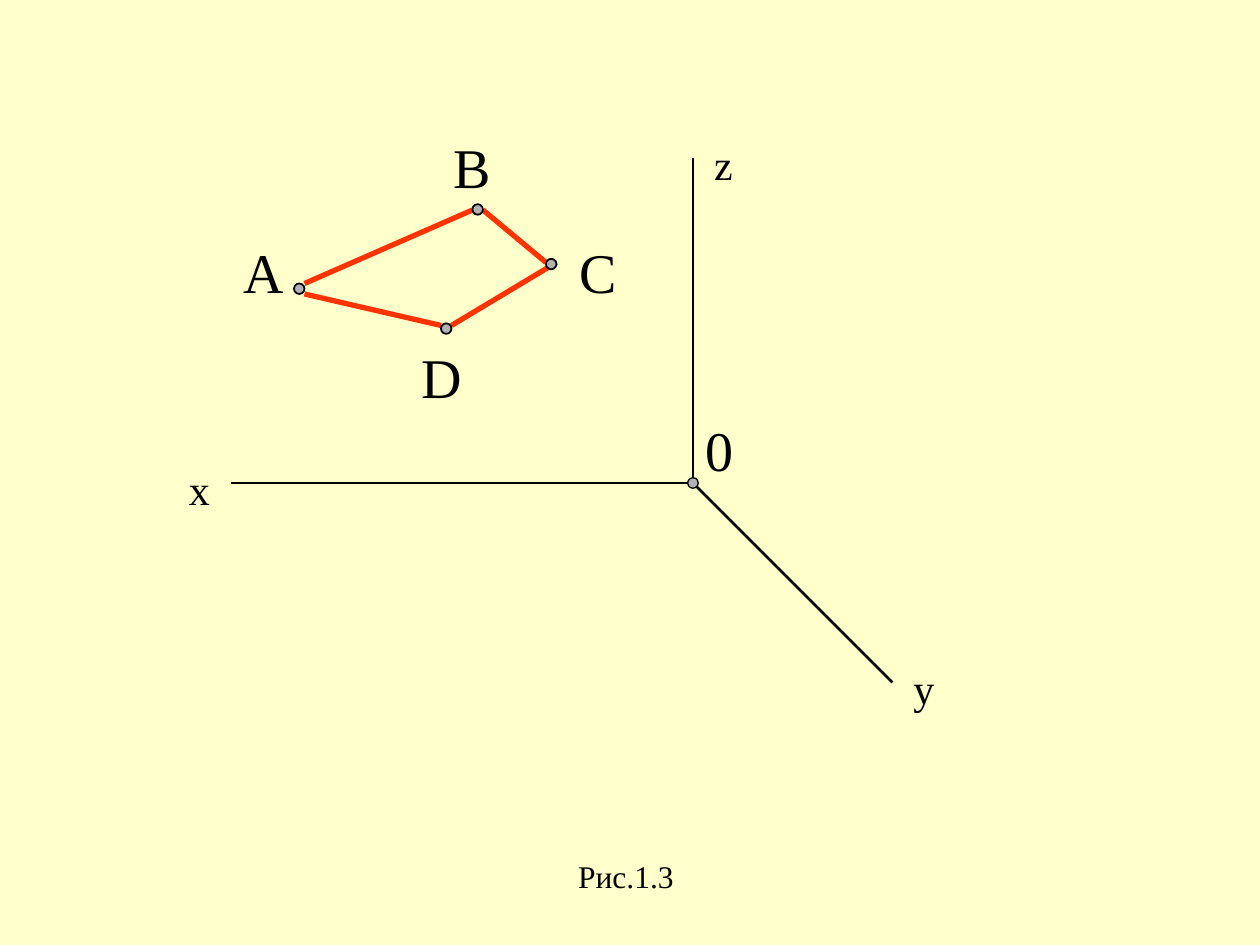
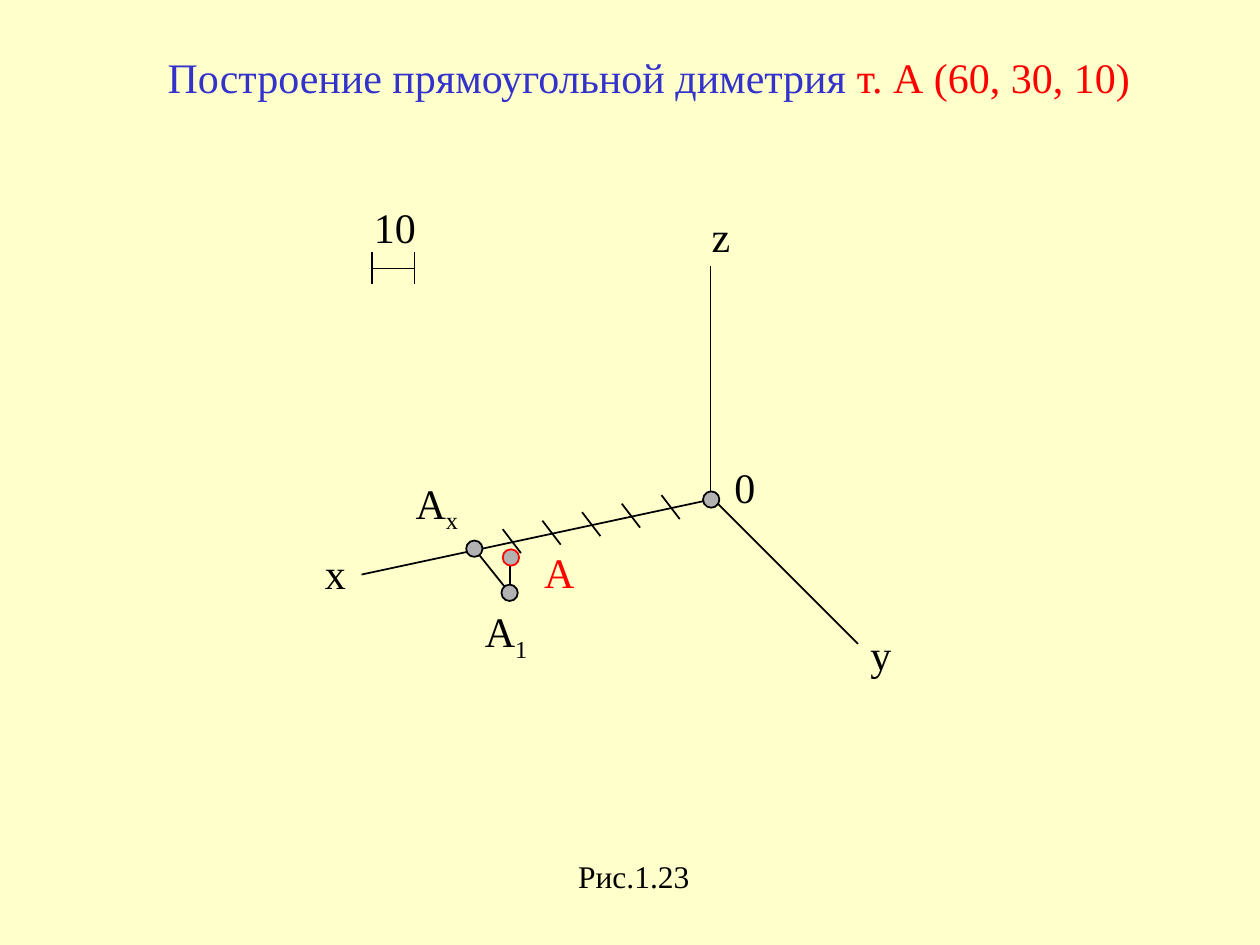
"""Build two slides that draw points on coordinate axes, laid out on a grid of 120 columns by 90 rows."""
from dataclasses import dataclass

from lxml.etree import SubElement
from pptx import Presentation
from pptx.dml.color import RGBColor
from pptx.enum.shapes import MSO_CONNECTOR as Link, MSO_SHAPE as Preset
from pptx.enum.text import MSO_ANCHOR as Anchor, MSO_AUTO_SIZE as AutoSize, PP_ALIGN as Align
from pptx.oxml.ns import qn
from pptx.util import Inches, Pt

CREAM = RGBColor(0xFF, 0xFF, 0xCC)
BLACK = RGBColor(0x00, 0x00, 0x00)
GREY = RGBColor(0xB2, 0xB2, 0xB2)
ORANGE = RGBColor(0xFF, 0x33, 0x00)
RED = RGBColor(0xFF, 0x00, 0x00)
BLUE = RGBColor(0x33, 0x33, 0xCC)
FONT = "Times New Roman"
SLIDE_WIDTH, SLIDE_HEIGHT = Inches(10), Inches(7.5)
COLUMNS = 120
CELL = SLIDE_WIDTH / COLUMNS


@dataclass
class Label:
    text: str
    column: float
    row: float
    width: float
    size: int = 24
    color: RGBColor = BLACK
    subscript: str = ""


@dataclass
class Segment:
    start: tuple[float, float]
    end: tuple[float, float]
    color: RGBColor = BLACK
    weight: float = 1


@dataclass
class Dot:
    column: float
    row: float
    diameter: float
    color: RGBColor = BLACK
    weight: float = 1


def cells(count: float) -> int:
    return round(count * CELL)


def style_span(span, size: int, color: RGBColor) -> None:
    span.font.name = FONT
    span.font.size = Pt(size)
    span.font.color.rgb = color


def draw_label(shapes, label: Label) -> None:
    height = label.size / 5 + (1.92 if label.subscript else 1.2)
    box = shapes.add_textbox(*map(cells, (label.column, label.row, label.width, height)))
    frame = box.text_frame
    frame.text = label.text
    frame.word_wrap = False
    frame.auto_size = AutoSize.SHAPE_TO_FIT_TEXT
    para = frame.paragraphs[0]
    if label.subscript:
        span = para.add_run()
        span.text = label.subscript
        span.font._element.set("baseline", "-25000")
    for span in para.runs:
        style_span(span, label.size, label.color)


def draw_segment(shapes, segment: Segment) -> None:
    ends = map(cells, (*segment.start, *segment.end))
    connector = shapes.add_connector(Link.STRAIGHT, *ends)
    connector.line.color.rgb = segment.color
    connector.line.width = Pt(segment.weight)
    SubElement(connector._element.spPr, qn("a:effectLst"))


def draw_dot(shapes, dot: Dot) -> None:
    radius = dot.diameter / 2
    bounds = (dot.column - radius, dot.row - radius, dot.diameter, dot.diameter)
    circle = shapes.add_shape(Preset.OVAL, *map(cells, bounds))
    circle.shadow.inherit = False
    circle.fill.solid()
    circle.fill.fore_color.rgb = GREY
    circle.line.color.rgb = dot.color
    circle.line.width = Pt(dot.weight)


def draw_all(shapes, segments: list[Segment], dots: list[Dot], labels: list[Label]) -> None:
    for segment in segments:
        draw_segment(shapes, segment)
    for dot in dots:
        draw_dot(shapes, dot)
    for label in labels:
        draw_label(shapes, label)


def draw_caption(shapes, text: str, width: float) -> None:
    draw_label(shapes, Label(text, 53.88, 81, width, 18))


def draw_title(title, parts: list[tuple[str, RGBColor]]) -> None:
    title.left, title.top, title.width, title.height = map(cells, (14.76, 4.32, 94.44, 6))
    frame = title.text_frame
    frame.word_wrap = False
    frame.auto_size = AutoSize.SHAPE_TO_FIT_TEXT
    frame.vertical_anchor = Anchor.TOP
    para = frame.paragraphs[0]
    para.alignment = Align.LEFT
    for text, color in parts:
        span = para.add_run()
        span.text = text
        style_span(span, 24, color)


def build_quadrilateral(deck) -> None:
    page = deck.slides.add_slide(deck.slide_layouts[6])
    origin = (66, 46)
    axes = [Segment(origin, end, weight=1.5) for end in ((66, 15), (85, 65), (22, 46))]
    sides = [Segment(start, end, ORANGE, 3) for start, end in (
        ((29, 27), (45, 20)),
        ((29, 28), (42, 31)),
        ((43, 31), (53, 25)),
        ((46, 20), (52, 25)),
    )]
    corners = [Dot(column, row, 1) for column, row in
               ((28.5, 27.5), (42.5, 31.3), (45.5, 19.95), (52.5, 25.15))]
    labels = [
        Label("z", 66.84, 12.6, 4.2),
        Label("y", 85.8, 62.52, 4.32),
        Label("x", 16.8, 43.56, 4.32),
        Label("0", 66, 39, 5.04, 32),
        Label("A", 22, 22, 6.24, 32),
        Label("B", 42, 12, 5.88, 32),
        Label("C", 54, 22, 5.88, 32),
        Label("D", 39, 32, 6.24, 32),
    ]
    draw_all(page.shapes, axes + sides, corners + [Dot(*origin, 1, weight=0.75)], labels)
    draw_caption(page.shapes, "Рис.1.3", 11.6)


def build_dimetry(deck) -> None:
    page = deck.slides.add_slide(deck.slide_layouts[5])
    draw_title(page.shapes.title, [("Построение прямоугольной диметрия ", BLUE),
                                   ("т. А (60, 30, 10)", RED)])
    axes = [
        Segment((67.68, 25.32), (67.68, 47.28)),
        Segment((67.44, 47.64), (34.44, 54.72)),
        Segment((67.68, 47.28), (81.72, 61.32)),
    ]
    ticks = []
    for index in range(5):
        column, row = 63 - 3.78 * index, 47.16 + 0.81 * index
        ticks.append(Segment((column, row), (column + 1.74, row + 2.28)))
    steps = [Segment((45.12, 52.2), (48.48, 56.4)), Segment((48.6, 53.88), (48.6, 56.76))]
    dots = [
        Dot(67.74, 47.58, 1.56),
        Dot(48.54, 56.46, 1.56),
        Dot(48.66, 53.1, 1.56, RED),
        Dot(45.18, 52.26, 1.56),
    ]
    labels = [
        Label("z", 66.6, 19.44, 4.2),
        Label("y", 81.72, 59.28, 4.32),
        Label("x", 29.76, 51.6, 4.44),
        Label("0", 68.76, 43.32, 4.32),
        Label("A", 38.4, 44.88, 6.48, subscript="x"),
        Label("A", 50.64, 51.48, 5.28, color=RED),
        Label("A", 45, 57.12, 6.48, subscript="1"),
    ]
    draw_all(page.shapes, axes + ticks + steps, dots, labels)

    left, right = 35.4, 39.48
    scale_bar = [Segment((left, 25.56), (right, 25.56))]
    scale_bar += [Segment((column, 24), (column, 27)) for column in (left, right)]
    scale_group = page.shapes.add_group_shape()
    draw_all(scale_group.shapes, scale_bar, [], [Label("10", 34.44, 18.6, 6.36)])
    draw_caption(page.shapes, "Рис.1.23", 13.4)


def main() -> None:
    deck = Presentation()
    deck.slide_width, deck.slide_height = SLIDE_WIDTH, SLIDE_HEIGHT
    background = deck.slide_master.background.fill
    background.solid()
    background.fore_color.rgb = CREAM
    build_quadrilateral(deck)
    build_dimetry(deck)
    deck.save("out.pptx")


if __name__ == "__main__":
    main()
